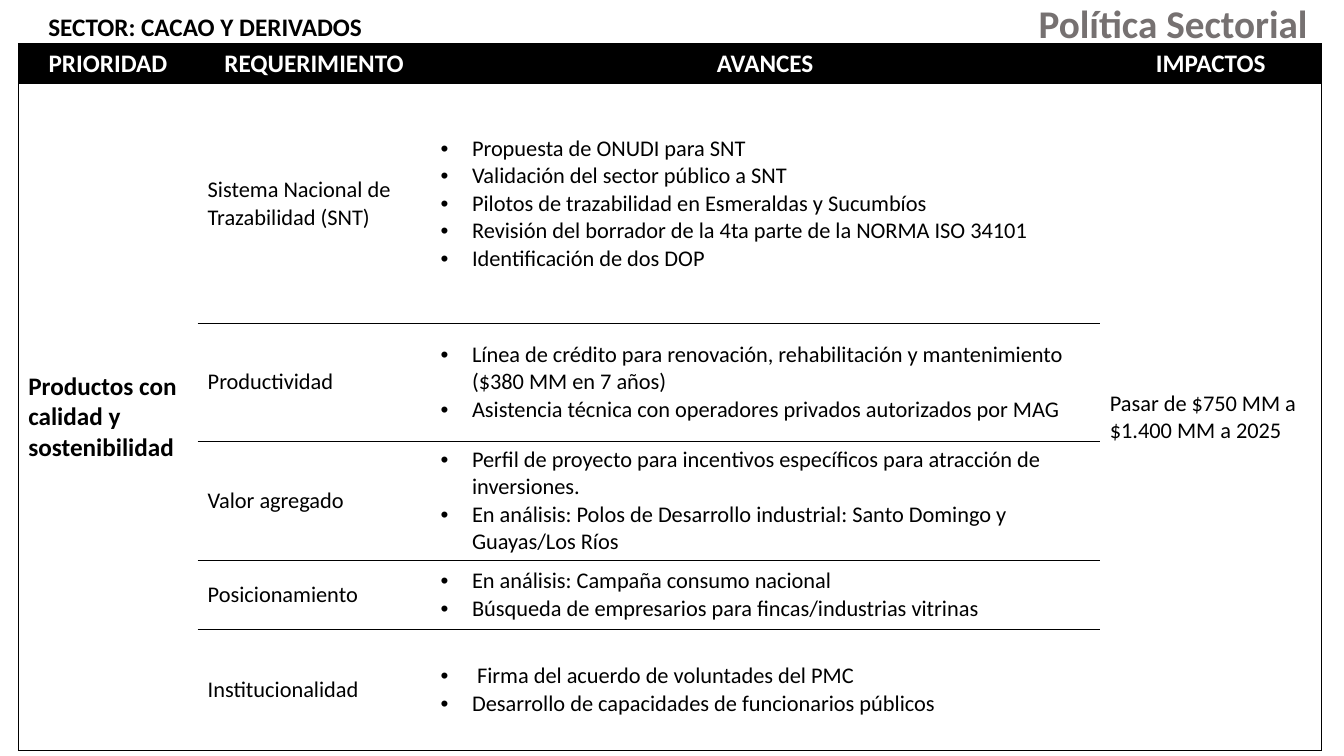
from lxml.etree import SubElement
from pptx import Presentation
from pptx.dml.color import RGBColor
from pptx.enum.text import MSO_ANCHOR as Anchor, MSO_AUTO_SIZE as AutoSize, PP_ALIGN as Align
from pptx.oxml.ns import qn
from pptx.util import Pt

COLORS = {"black": "000000", "white": "FFFFFF", "gray": "767171"}
NO_GRID_STYLE = "{2D5ABB26-0587-4C30-8999-92F81FD0307C}"
COLUMN_WIDTHS = [128.2, 166.3, 478.1, 158.4]
ROW_HEIGHTS = [27.4, 170.6, 84.2, 69.1, 49, 86.4]
HEADINGS = ["PRIORIDAD", "REQUERIMIENTO", "AVANCES", "IMPACTOS"]
PRIORITY = "Productos con calidad y sostenibilidad"
IMPACT = "Pasar de $750 MM a $1.400 MM a 2025"
PROGRESS = {
    "Sistema Nacional de Trazabilidad (SNT)": [
        "Propuesta de ONUDI para SNT",
        "Validación del sector público a SNT",
        "Pilotos de trazabilidad en Esmeraldas y Sucumbíos",
        "Revisión del borrador de la 4ta parte de la NORMA ISO 34101",
        "Identificación de dos DOP",
    ],
    "Productividad": [
        "Línea de crédito para renovación, rehabilitación y mantenimiento ($380 MM en 7 años)",
        "Asistencia técnica con operadores privados autorizados por MAG",
    ],
    "Valor agregado": [
        "Perfil de proyecto para incentivos específicos para atracción de inversiones.",
        "En análisis: Polos de Desarrollo industrial: Santo Domingo y Guayas/Los Ríos",
    ],
    "Posicionamiento": [
        "En análisis: Campaña consumo nacional",
        "Búsqueda de empresarios para fincas/industrias vitrinas",
    ],
    "Institucionalidad": [
        " Firma del acuerdo de voluntades del PMC",
        "Desarrollo de capacidades de funcionarios públicos",
    ],
}


def apply(target, values):
    for name, value in values.items():
        setattr(target, name, value)


def add_bullet(paragraph):
    properties = paragraph._p.get_or_add_pPr()
    properties.set("marL", str(Pt(22.5)))
    properties.set("indent", str(-Pt(22.5)))
    SubElement(properties, qn("a:buFont"), typeface="Arial")
    SubElement(properties, qn("a:buChar"), char="•")


def write(frame, lines, size, color="black", bold=False, align=Align.LEFT, bullets=False):
    for index, line in enumerate(lines):
        paragraph = frame.add_paragraph() if index else frame.paragraphs[0]
        paragraph.alignment = align
        if bullets:
            add_bullet(paragraph)
        run = paragraph.add_run()
        run.text = line
        apply(run.font, {"name": "Calibri", "size": Pt(size), "bold": bold})
        run.font.color.rgb = RGBColor.from_string(COLORS[color])


def place(shape, left, top, width, height):
    apply(shape, {"left": Pt(left), "top": Pt(top), "width": Pt(width), "height": Pt(height)})
    apply(shape.text_frame, {"word_wrap": True, "auto_size": AutoSize.NONE,
                             "vertical_anchor": Anchor.TOP})
    apply(shape.text_frame, {"margin_left": Pt(7.2), "margin_right": Pt(7.2),
                             "margin_top": Pt(3.6), "margin_bottom": Pt(3.6)})


def add_border(cell, side):
    line = SubElement(cell._tc.get_or_add_tcPr(), qn(f"a:ln{side}"), w=str(Pt(0.5)))
    fill = SubElement(line, qn("a:solidFill"))
    SubElement(fill, qn("a:srgbClr"), val=COLORS["black"])


def format_cell(cell, row, column):
    last_row, last_column = len(ROW_HEIGHTS) - 1, len(COLUMN_WIDTHS) - 1
    inner = 0 < column < last_column
    sides = {
        "L": column == 0,
        "R": column == last_column,
        "T": row == 0,
        "B": row == last_row or row > 0 and (inner or cell.is_merge_origin),
    }
    for side, shown in sides.items():
        if shown:
            add_border(cell, side)
    cell.vertical_anchor = Anchor.MIDDLE if row else Anchor.TOP
    cell.fill.solid()
    cell.fill.fore_color.rgb = RGBColor.from_string(COLORS["white" if row else "black"])


def add_progress_table(slide):
    frame = slide.shapes.add_table(len(ROW_HEIGHTS), len(COLUMN_WIDTHS), Pt(13), Pt(31),
                                   Pt(sum(COLUMN_WIDTHS)), Pt(sum(ROW_HEIGHTS)))
    table = frame.table
    table._tbl.tblPr.find(qn("a:tableStyleId")).text = NO_GRID_STYLE
    for column, width in zip(table.columns, COLUMN_WIDTHS):
        column.width = Pt(width)
    for row, height in zip(table.rows, ROW_HEIGHTS):
        row.height = Pt(height)
    for column in (0, len(COLUMN_WIDTHS) - 1):
        table.cell(1, column).merge(table.cell(len(ROW_HEIGHTS) - 1, column))
    for row in range(len(ROW_HEIGHTS)):
        for column in range(len(COLUMN_WIDTHS)):
            format_cell(table.cell(row, column), row, column)

    for column, heading in enumerate(HEADINGS):
        write(table.cell(0, column).text_frame, [heading], 18, "white", True, Align.CENTER)
    write(table.cell(1, 0).text_frame, [PRIORITY], 18, bold=True)
    write(table.cell(1, 3).text_frame, [IMPACT], 16)
    for row, (requirement, advances) in enumerate(PROGRESS.items(), 1):
        write(table.cell(row, 1).text_frame, [requirement], 16)
        write(table.cell(row, 2).text_frame, advances, 16, bullets=True)


def main():
    """Build the sector policy slide for cocoa and its derivatives."""
    deck = Presentation()
    apply(deck, {"slide_width": Pt(960), "slide_height": Pt(540)})
    slide = deck.slides.add_slide(deck.slide_layouts[5])
    add_progress_table(slide)

    sector = slide.shapes.add_textbox(0, 0, 0, 0)
    place(sector, 27.4, 4.3, 265, 28.8)
    write(sector.text_frame, ["SECTOR: CACAO Y DERIVADOS"], 18, bold=True)

    title = slide.shapes.title
    place(title, 637.2, -4.3, 310.3, 41)
    write(title.text_frame, ["Política Sectorial "], 28, "gray", True, Align.RIGHT)
    deck.save("out.pptx")


if __name__ == "__main__":
    main()
